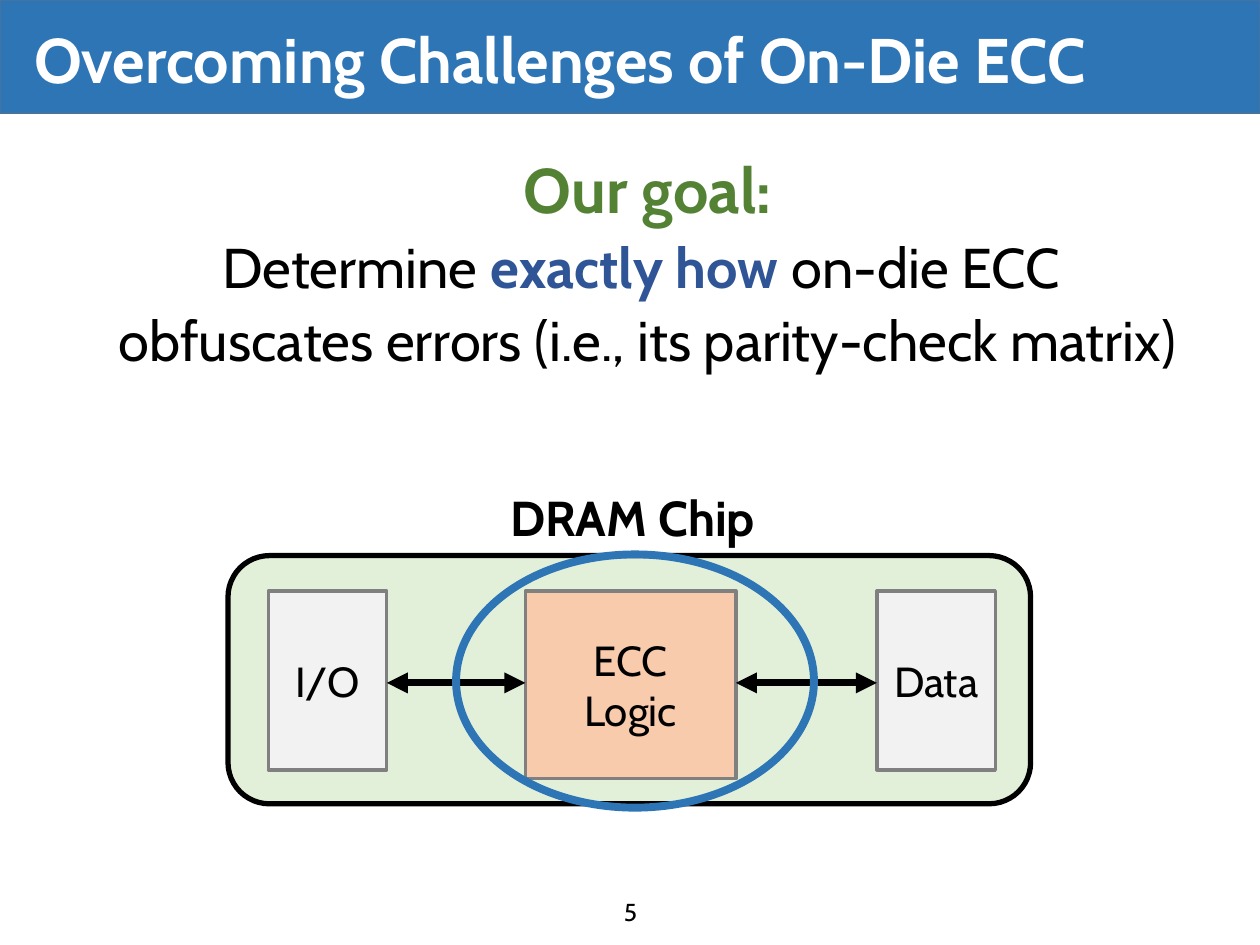
from dataclasses import dataclass

from lxml import etree
from pptx import Presentation
from pptx.dml.color import RGBColor
from pptx.enum.shapes import MSO_CONNECTOR, MSO_SHAPE
from pptx.enum.text import MSO_ANCHOR, PP_ALIGN
from pptx.oxml.ns import qn
from pptx.util import Inches, Pt

RECTANGLE = MSO_SHAPE.RECTANGLE
ROUNDED = MSO_SHAPE.ROUNDED_RECTANGLE
OVAL = MSO_SHAPE.OVAL
STRAIGHT = MSO_CONNECTOR.STRAIGHT
LEFT, CENTER = PP_ALIGN.LEFT, PP_ALIGN.CENTER
TOP, MIDDLE = MSO_ANCHOR.TOP, MSO_ANCHOR.MIDDLE
LEFT_SIDE, RIGHT_SIDE = 1, 3
TITLE_ONLY = 5


@dataclass(frozen=True)
class Theme:
    font: str = "Cabin"
    white: str = "FFFFFF"
    black: str = "000000"
    blue: str = "2E75B6"
    header_edge: str = "43739E"
    goal: str = "548235"
    emphasis: str = "2F5597"
    chip: str = "E2F0D9"
    block: str = "F2F2F2"
    logic: str = "F8CBAD"
    block_edge: str = "808080"
    heading_size: float = 36
    body_size: float = 32
    caption_size: float = 28
    label_size: float = 24
    number_size: float = 14


class SlideBuilder:
    """Draws styled elements on the current slide."""

    def __init__(self, slide, theme):
        self.slide = slide
        self.theme = theme

    def fill_text(self, frame, paragraphs, align=CENTER, anchor=TOP, wrap=True,
                  line_spacing=None, space_before=None):
        frame.word_wrap = wrap
        frame.vertical_anchor = anchor
        for index, runs in enumerate(paragraphs):
            paragraph = frame.add_paragraph() if index else frame.paragraphs[0]
            paragraph.alignment = align
            paragraph.line_spacing = line_spacing
            paragraph.space_before = space_before
            for text, size, color, bold in runs:
                run = paragraph.add_run()
                run.text = text
                run.font.name = self.theme.font
                run.font.size = Pt(size)
                run.font.bold = bold
                run.font.color.rgb = RGBColor.from_string(color)

    def title(self, box, text):
        title = self.slide.shapes.title
        title.left, title.top, title.width, title.height = map(Inches, box)
        run = (text, self.theme.heading_size, self.theme.white, True)
        self.fill_text(title.text_frame, [[run]], LEFT, MIDDLE, line_spacing=0.9)

    def text(self, box, paragraphs, **style):
        shape = self.slide.shapes.add_textbox(*map(Inches, box))
        self.fill_text(shape.text_frame, paragraphs, **style)

    def shape(self, kind, box, fill, edge, width, lines=()):
        shape = self.slide.shapes.add_shape(kind, *map(Inches, box))
        shape.shadow.inherit = False
        if fill:
            shape.fill.solid()
            shape.fill.fore_color.rgb = RGBColor.from_string(fill)
        else:
            shape.fill.background()
        shape.line.color.rgb = RGBColor.from_string(edge)
        shape.line.width = Pt(width)
        label = (self.theme.label_size, self.theme.black, False)
        self.fill_text(shape.text_frame, [[(line, *label)] for line in lines], anchor=MIDDLE)
        return shape

    def header(self, box):
        bar = self.shape(RECTANGLE, box, self.theme.blue, self.theme.header_edge, 1)
        self.slide.shapes.title._element.addprevious(bar._element)

    def block(self, box, fill, lines):
        return self.shape(RECTANGLE, box, fill, self.theme.block_edge, 2, lines)

    def double_arrow(self, right_block, left_block, level):
        arrow = self.slide.shapes.add_connector(STRAIGHT, 0, 0, 0, 0)
        arrow.begin_connect(right_block, LEFT_SIDE)
        arrow.end_connect(left_block, RIGHT_SIDE)
        arrow.begin_y = arrow.end_y = Inches(level)
        arrow.line.color.rgb = RGBColor.from_string(self.theme.black)
        arrow.line.width = Pt(4)
        line = arrow.line._get_or_add_ln()
        for end in ("a:headEnd", "a:tailEnd"):
            etree.SubElement(line, qn(end), type="triangle")
        etree.SubElement(arrow._element.spPr, qn("a:effectLst"))


def main():
    theme = Theme()
    presentation = Presentation()
    presentation.slide_width, presentation.slide_height = Inches(10), Inches(7.5)
    slide = presentation.slides.add_slide(presentation.slide_layouts[TITLE_ONLY])
    builder = SlideBuilder(slide, theme)

    builder.header((0, 0, 10, 0.9))
    builder.title((0.17, 0.09, 9.64, 0.82), "Overcoming Challenges of On-Die ECC")

    plain = (theme.body_size, theme.black, False)
    builder.text((0.28, 1.21, 9.72, 2.15), [
        [("Our goal:", theme.heading_size, theme.goal, True)],
        [("Determine ", *plain),
         ("exactly how", theme.body_size, theme.emphasis, True),
         (" on-die ECC ", *plain)],
        [("obfuscates errors (i.e., its parity-check matrix)", *plain)],
    ], line_spacing=0.9, space_before=Pt(7.5))

    builder.shape(ROUNDED, (1.81, 4.41, 6.37, 1.97), theme.chip, theme.black, 3)
    data = builder.block((6.96, 4.69, 0.94, 1.42), theme.block, ["Data"])
    interface = builder.block((2.13, 4.69, 0.94, 1.42), theme.block, ["I/O"])
    logic = builder.block((4.17, 4.69, 1.67, 1.49), theme.logic, ["ECC", "Logic"])
    for right_block, left_block in ((data, logic), (logic, interface)):
        builder.double_arrow(right_block, left_block, 5.42)
    builder.shape(OVAL, (3.62, 4.4, 2.84, 2.01), None, theme.blue, 4.5)

    builder.text((3.88, 7.07, 2.25, 0.31),
                 [[("5", theme.number_size, theme.black, False)]])
    builder.text((3.95, 3.82, 2.17, 0.57),
                 [[("DRAM Chip", theme.caption_size, theme.black, True)]],
                 align=LEFT, wrap=False)

    presentation.save("out.pptx")


if __name__ == "__main__":
    main()
